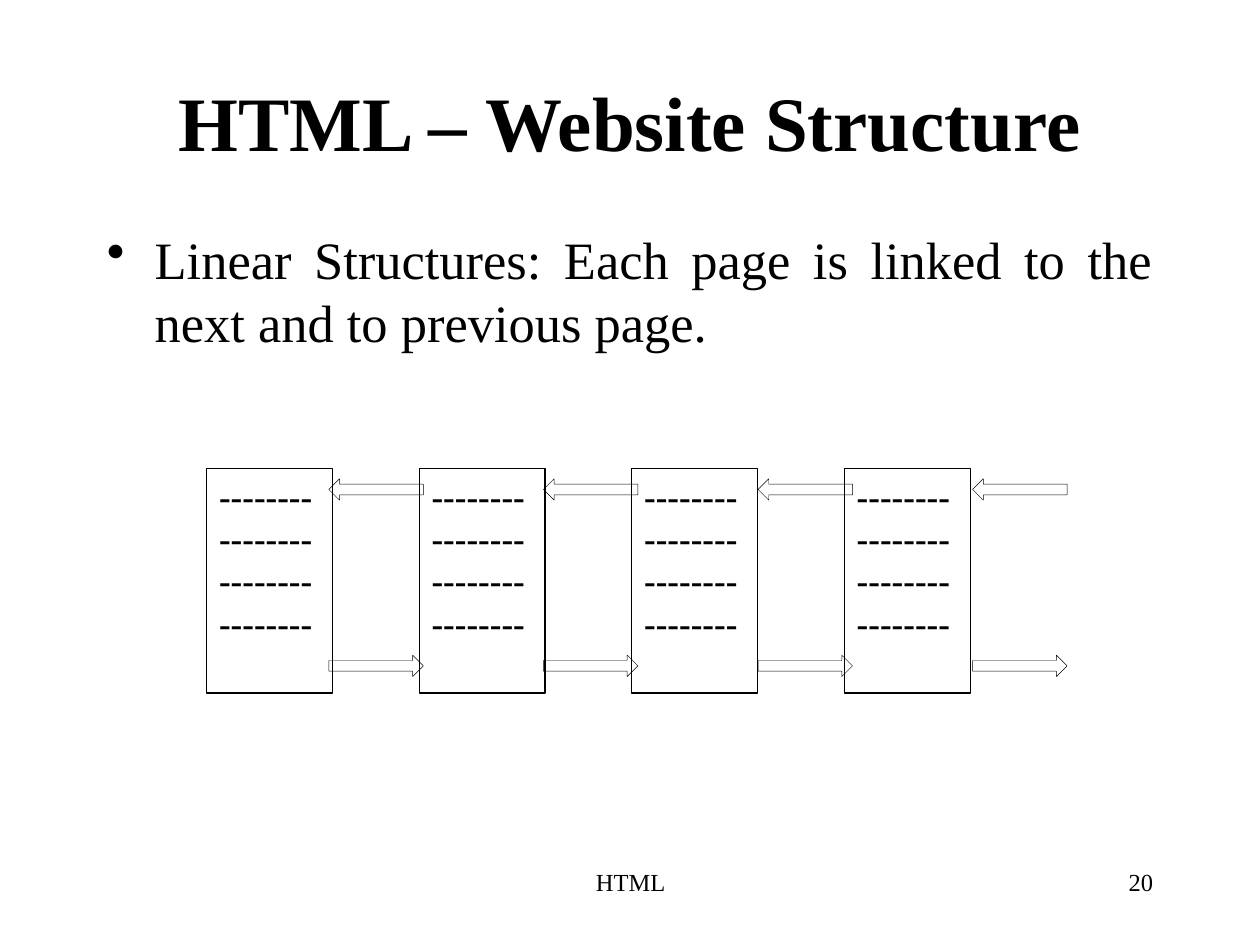
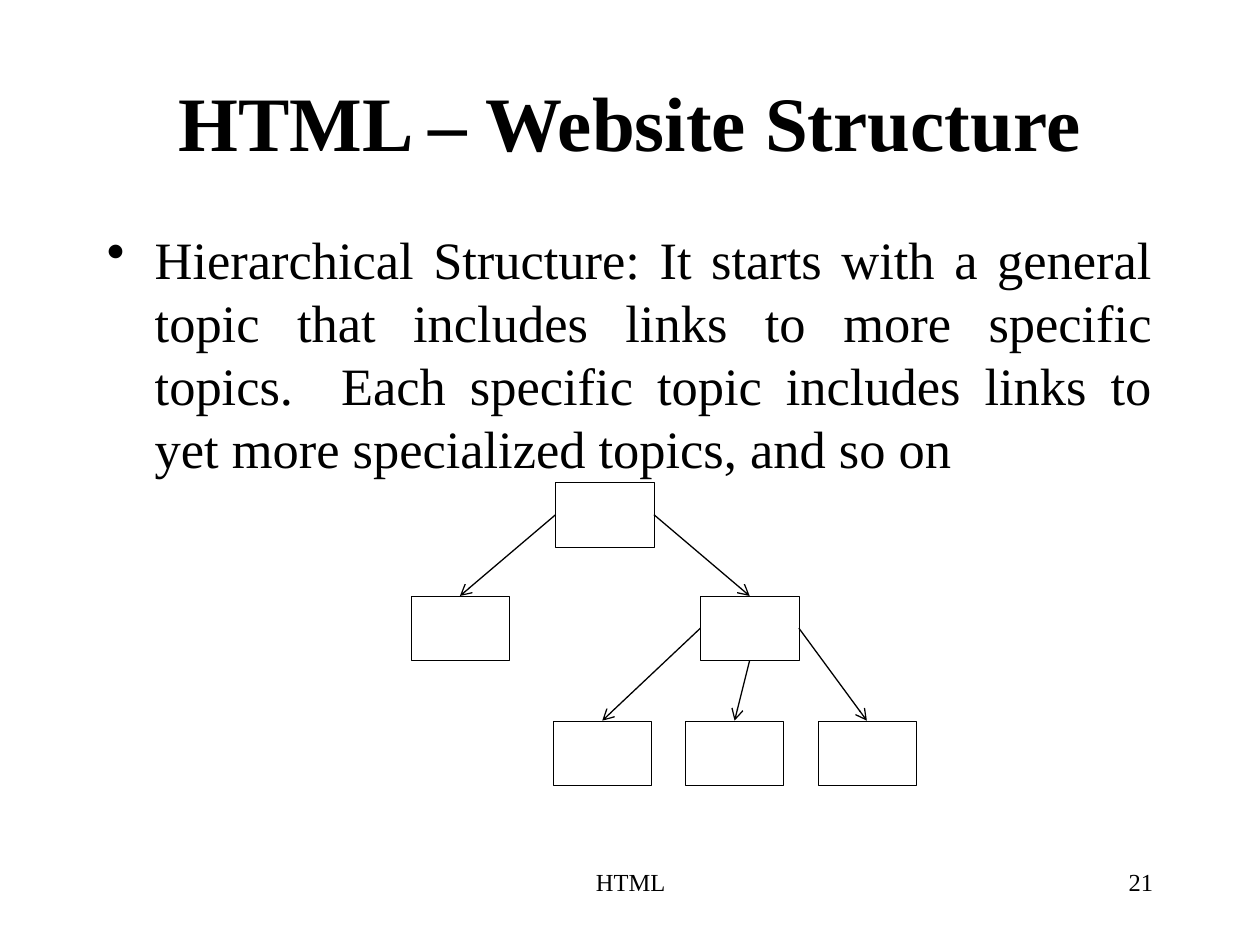
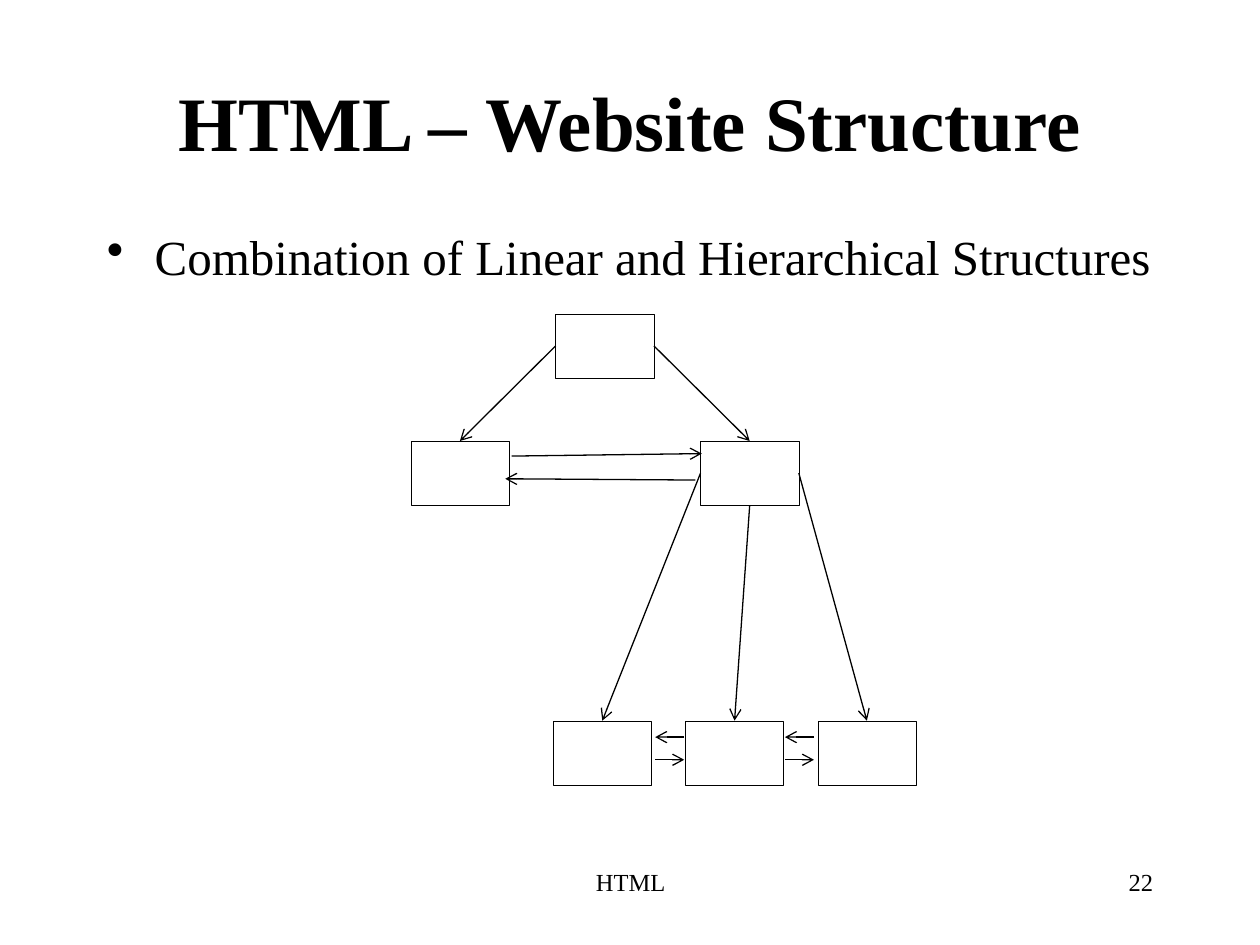
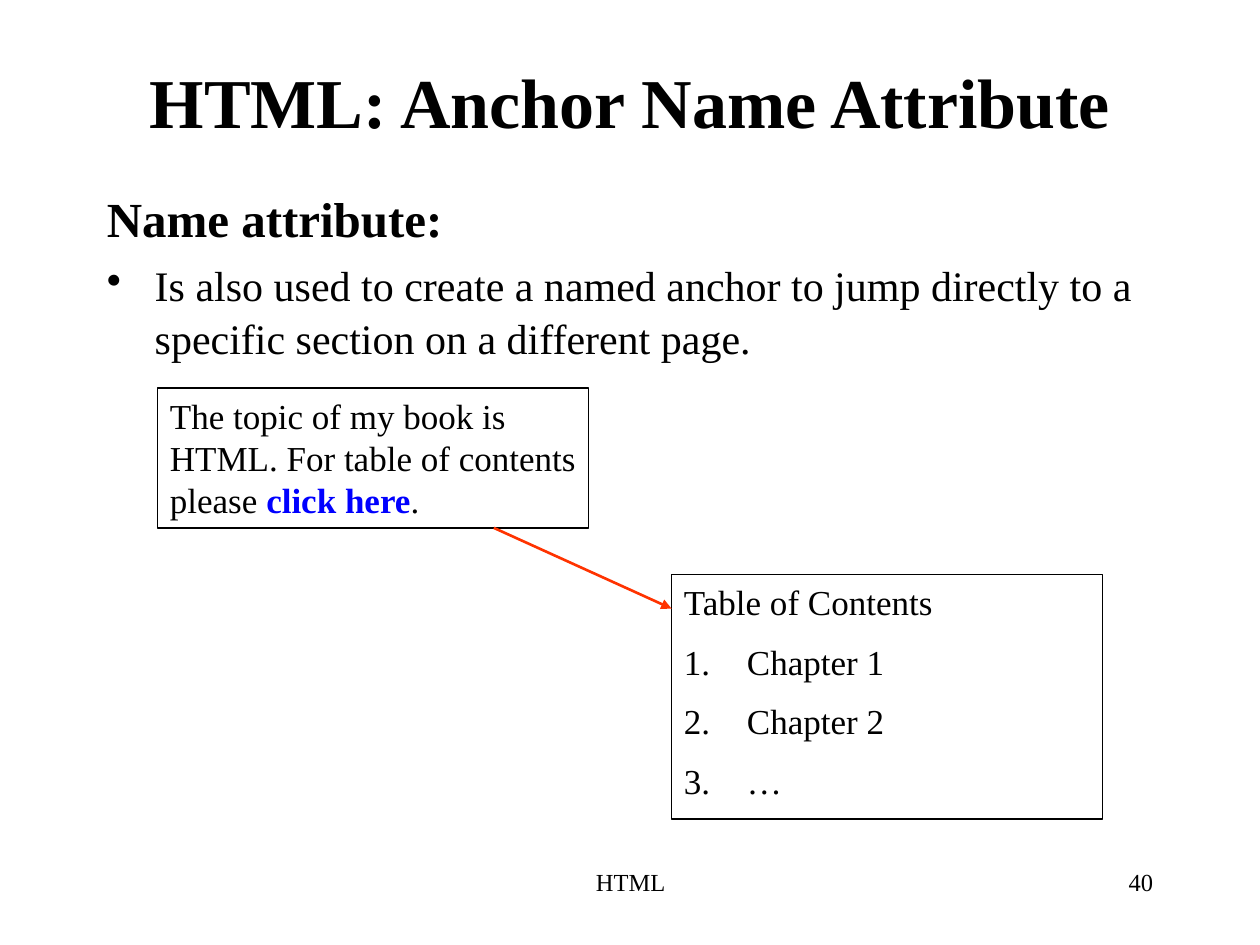
from lxml.etree import SubElement
from pptx import Presentation
from pptx.dml.color import RGBColor
from pptx.enum.shapes import MSO_CONNECTOR as Connector, MSO_SHAPE as Shape
from pptx.enum.text import MSO_ANCHOR as Anchor, PP_ALIGN as Align
from pptx.oxml.ns import qn
from pptx.util import Inches, Pt

# Shared grid: 100 columns by 75 rows of square cells
CELL = Inches(0.1)
FONT = "Times New Roman"
BLACK, BLUE, RED = "000000", "0000FF", "FF3300"
color = RGBColor.from_string
TITLE = (7.5, 3.3, 85, 12.5)
BODY = (7.5, 17.5, 85, 48.3)
FOOTER = (34.2, 68.3, 31.7, 5)
NUMBER = (71.7, 68.3, 20.8, 5)


def add_block(slide, box, paragraphs=(), kind=None, line=0.75, align=Align.LEFT,
              anchor=Anchor.TOP, gap=0, spacing=None):
    """Paragraphs are (bullet, hanging indent in inches, runs); runs are (text, size, bold, colour)."""
    place = [round(value * CELL) for value in box]
    if kind is None:
        shape = slide.shapes.add_textbox(*place)
    else:
        shape = slide.shapes.add_shape(kind, *place)
        shape.shadow.inherit = False
        shape.fill.background()
        shape.line.color.rgb = color(BLACK)
        shape.line.width = Pt(line)
    frame = shape.text_frame
    frame.word_wrap = True
    frame.vertical_anchor = anchor
    for index, (bullet, indent, runs) in enumerate(paragraphs):
        paragraph = frame.add_paragraph() if index else frame.paragraphs[0]
        paragraph.alignment = align
        paragraph.line_spacing = spacing
        if index:
            paragraph.space_before = Pt(gap)
        properties = paragraph._p.get_or_add_pPr()
        if indent:
            properties.set("marL", str(Inches(indent)))
            properties.set("indent", str(-Inches(indent)))
        if bullet == "•":
            SubElement(properties, qn("a:buChar"), char=bullet)
        elif bullet:
            SubElement(properties, qn("a:buAutoNum"), type=bullet)
        for text, size, bold, run_color in runs:
            run = paragraph.add_run()
            run.text = text
            run.font.name, run.font.size, run.font.bold = FONT, Pt(size), bold
            run.font.color.rgb = color(run_color)
    return shape


def add_arrow(slide, start=(0, 0), end=(0, 0), line_color=BLACK, width=0.75, head="arrow"):
    ends = [round(value * CELL) for value in (*start, *end)]
    arrow = slide.shapes.add_connector(Connector.STRAIGHT, *ends)
    arrow.line.color.rgb = color(line_color)
    arrow.line.width = Pt(width)
    SubElement(arrow.line._get_or_add_ln(), qn("a:tailEnd"), type=head)
    SubElement(arrow._element.spPr, qn("a:effectLst"))
    return arrow


presentation = Presentation()
presentation.slide_width, presentation.slide_height = 100 * CELL, 75 * CELL

# Titles, footers and page numbers
STRUCTURE = ("HTML – Website Structure", 44, TITLE)
slides = []
for number, (title, size, box) in [
    (20, STRUCTURE), (21, STRUCTURE), (22, STRUCTURE),
    (40, ("HTML: Anchor Name Attribute", 40, (7.5, 1.7, 85, 12.5))),
]:
    slide = presentation.slides.add_slide(presentation.slide_layouts[6])
    add_block(slide, box, [(None, 0, [(title, size, True, BLACK)])],
              align=Align.CENTER, anchor=Anchor.MIDDLE)
    add_block(slide, FOOTER, [(None, 0, [("HTML", 14, False, BLACK)])], align=Align.CENTER)
    add_block(slide, NUMBER, [(None, 0, [(str(number), 14, False, BLACK)])], align=Align.RIGHT)
    slides.append(slide)
linear, hierarchy, combination, anchor_name = slides

# Bullet on each structure slide
for slide, size, text in [
    (linear, 30, "Linear Structures: Each page is linked to the next and to previous page."),
    (hierarchy, 30, "Hierarchical Structure: It starts with a general topic that includes links "
                    "to more specific topics.  Each specific topic includes links to yet more "
                    "specialized topics, and so on"),
    (combination, 28, "Combination of Linear and Hierarchical Structures"),
]:
    add_block(slide, BODY, [("•", 0.38, [(text, size, False, BLACK)])], align=Align.JUSTIFY)

# Linear structure: a row of pages with arrows both ways
for page in range(4):
    add_block(linear, (16.4 + 16.87 * page, 37.2, 10, 17.8),
              [(None, 0, [("-" * 32, 20, True, BLACK)])], Shape.RECTANGLE)
for page in range(4):
    left = 26.1 + 17.03 * page
    add_block(linear, (left, 52, 7.5, 1.7), kind=Shape.RIGHT_ARROW, line=0.25)
    add_block(linear, (left, 38, 7.5, 1.7), kind=Shape.LEFT_ARROW, line=0.25)

# Trees: root, two branches, three leaves under the right branch
NODE_WIDTH, NODE_HEIGHT = 7.8, 5.1
TOP, LEFT, BOTTOM, RIGHT = range(4)
LEAF_ROW = 57.2
for slide, root_row, branch_row in [(hierarchy, 38.3, 47.3), (combination, 24.9, 35)]:
    places = [(44.1, root_row), (32.6, branch_row), (55.6, branch_row)]
    places += [(43.9 + 10.5 * leaf, LEAF_ROW) for leaf in range(3)]
    nodes = [add_block(slide, (*place, NODE_WIDTH, NODE_HEIGHT), kind=Shape.RECTANGLE, line=0.25)
             for place in places]
    for parent, side, child in [(0, LEFT, 1), (0, RIGHT, 2),
                                (2, LEFT, 3), (2, BOTTOM, 4), (2, RIGHT, 5)]:
        arrow = add_arrow(slide)
        arrow.begin_connect(nodes[parent], side)
        arrow.end_connect(nodes[child], TOP)

# Links between neighbours in the combined structure
add_arrow(combination, (40.6, 36.2), (55.7, 36))
add_arrow(combination, (55.2, 38.1), (40.1, 38))
for left in (52, 62.3):
    right = left + 2.3
    add_arrow(combination, (right, 58.5), (left, 58.5))
    add_arrow(combination, (left, 60.3), (right, 60.3))

# Named anchor: explanation, source page and target page
add_block(anchor_name, (7.5, 14.2, 85, 47.5), [
    (None, 0.38, [("Name attribute:", 28, True, BLACK)]),
    ("•", 0.38, [("Is also used to create a named anchor to jump directly to a specific "
                  "section on a different page.", 24, False, BLACK)]),
], gap=6, spacing=1.05)
add_block(anchor_name, (12.5, 30.8, 34.2, 11.1), [(None, 0, [
    ("The topic of my book is HTML. For table of contents please ", 20, False, BLACK),
    ("click here", 20, True, BLUE),
    (".", 20, False, BLACK),
])], Shape.RECTANGLE)
contents = [(None, "Table of Contents")]
contents += [("arabicPeriod", entry) for entry in ("Chapter 1", "Chapter 2", "…")]
add_block(anchor_name, (53.3, 45.6, 34.2, 19.4),
          [(bullet, 0.5, [(text, 20, False, BLACK)]) for bullet, text in contents],
          Shape.RECTANGLE, gap=10)
add_arrow(anchor_name, (39.2, 41.9), (53.3, 48.3), RED, 1.5, "triangle")

presentation.save("out.pptx")
